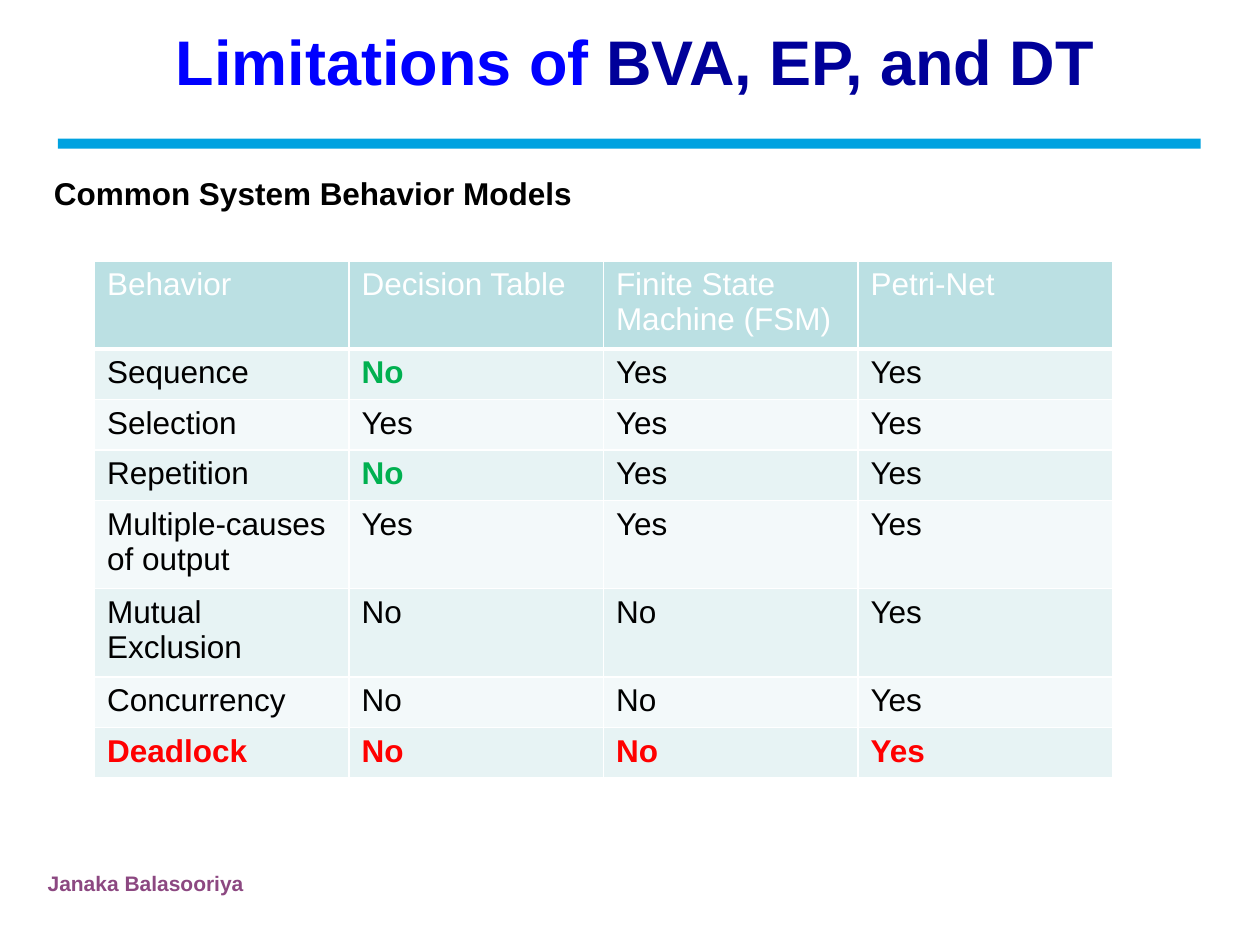
from lxml import etree
from pptx import Presentation
from pptx import util as u
from pptx.dml.color import RGBColor
from pptx.enum import shapes, text
from pptx.oxml import ns

BLACK = RGBColor(0x00, 0x00, 0x00)
WHITE = RGBColor(0xFF, 0xFF, 0xFF)
BLUE = RGBColor(0x00, 0x00, 0xFF)
NAVY = RGBColor(0x00, 0x00, 0x99)
SKY = RGBColor(0x00, 0xA2, 0xE0)
PLUM = RGBColor(0x8C, 0x48, 0x81)
GREEN = RGBColor(0x00, 0xB0, 0x50)
RED = RGBColor(0xFF, 0x00, 0x00)
HEADER_FILL = RGBColor(0xBB, 0xE0, 0xE3)
BAND_FILLS = [RGBColor(0xF3, 0xF9, 0xFA), RGBColor(0xE7, 0xF3, 0xF4)]

presentation = Presentation()
presentation.slide_width = u.Inches(10)
presentation.slide_height = u.Inches(7.5)
slide = presentation.slides.add_slide(presentation.slide_layouts[6])


def format_run(run, size, color, bold):
    run.font.name = "Arial"
    run.font.size = u.Pt(size)
    run.font.color.rgb = color
    run.font.bold = bold


def add_border(cell, side, points):
    properties = cell._tc.get_or_add_tcPr()
    line = etree.SubElement(properties, ns.qn("a:" + side), w=str(u.Pt(points)))
    fill = etree.SubElement(line, ns.qn("a:solidFill"))
    etree.SubElement(fill, ns.qn("a:srgbClr"), val=str(WHITE))


# Rule under the title
rule = slide.shapes.add_shape(shapes.MSO_SHAPE.RECTANGLE, u.Inches(0.46),
                              u.Inches(1.1), u.Inches(9.07), u.Inches(0.08))
rule.shadow.inherit = False
rule.fill.solid()
rule.fill.fore_color.rgb = SKY
rule.line.fill.background()

# Title, subtitle and author: box, alignment, anchor, size, coloured runs
LEFT, CENTER = text.PP_ALIGN.LEFT, text.PP_ALIGN.CENTER
TOP, MIDDLE = text.MSO_ANCHOR.TOP, text.MSO_ANCHOR.MIDDLE
text_boxes = [
    ((0.54, 0, 9, 0.95), CENTER, MIDDLE, 36,
     [("Limitations of ", BLUE), ("BVA, EP, and DT", NAVY)]),
    ((0.33, 1.33, 4.83, 0.4), LEFT, TOP, 18,
     [("Common System Behavior Models", BLACK)]),
    ((0.28, 6.86, 2.54, 0.3), LEFT, TOP, 12, [("Janaka Balasooriya", PLUM)]),
]
for box, alignment, anchor, size, pieces in text_boxes:
    shape = slide.shapes.add_textbox(*[u.Inches(length) for length in box])
    shape.text_frame.word_wrap = True
    shape.text_frame.vertical_anchor = anchor
    paragraph = shape.text_frame.paragraphs[0]
    paragraph.alignment = alignment
    for wording, color in pieces:
        run = paragraph.add_run()
        run.text = wording
        format_run(run, size, color, True)

# Behavior table
behaviors = [
    ("Behavior", "Decision Table", "Finite State Machine (FSM)", "Petri-Net"),
    ("Sequence", "No", "Yes", "Yes"),
    ("Selection", "Yes", "Yes", "Yes"),
    ("Repetition", "No", "Yes", "Yes"),
    ("Multiple-causes of output", "Yes", "Yes", "Yes"),
    ("Mutual Exclusion", "No", "No", "Yes"),
    ("Concurrency", "No", "No", "Yes"),
    ("Deadlock", "No", "No", "Yes"),
]
TWO_LINE_ROWS = {0, 4, 5}
GREEN_CELLS = {(1, 1), (3, 1)}
RED_ROW = len(behaviors) - 1

table = slide.shapes.add_table(len(behaviors), 4, u.Inches(0.75), u.Inches(2.07),
                               u.Inches(8.08), u.Inches(4.1)).table
for column in table.columns:
    column.width = u.Inches(2.02)

for row, values in enumerate(behaviors):
    table.rows[row].height = u.Inches(0.7 if row in TWO_LINE_ROWS else 0.4)
    for column, value in enumerate(values):
        cell = table.cell(row, column)
        for side in ("lnL", "lnR", "lnT", "lnB"):
            add_border(cell, side, 3 if row == 0 and side == "lnB" else 1)
        cell.fill.solid()
        cell.fill.fore_color.rgb = BAND_FILLS[row % 2] if row else HEADER_FILL

        if row == 0:
            color = WHITE
        elif row == RED_ROW:
            color = RED
        else:
            color = GREEN if (row, column) in GREEN_CELLS else BLACK
        cell.text_frame.text = value
        format_run(cell.text_frame.paragraphs[0].runs[0], 18, color,
                   color in (GREEN, RED))

presentation.save("out.pptx")
